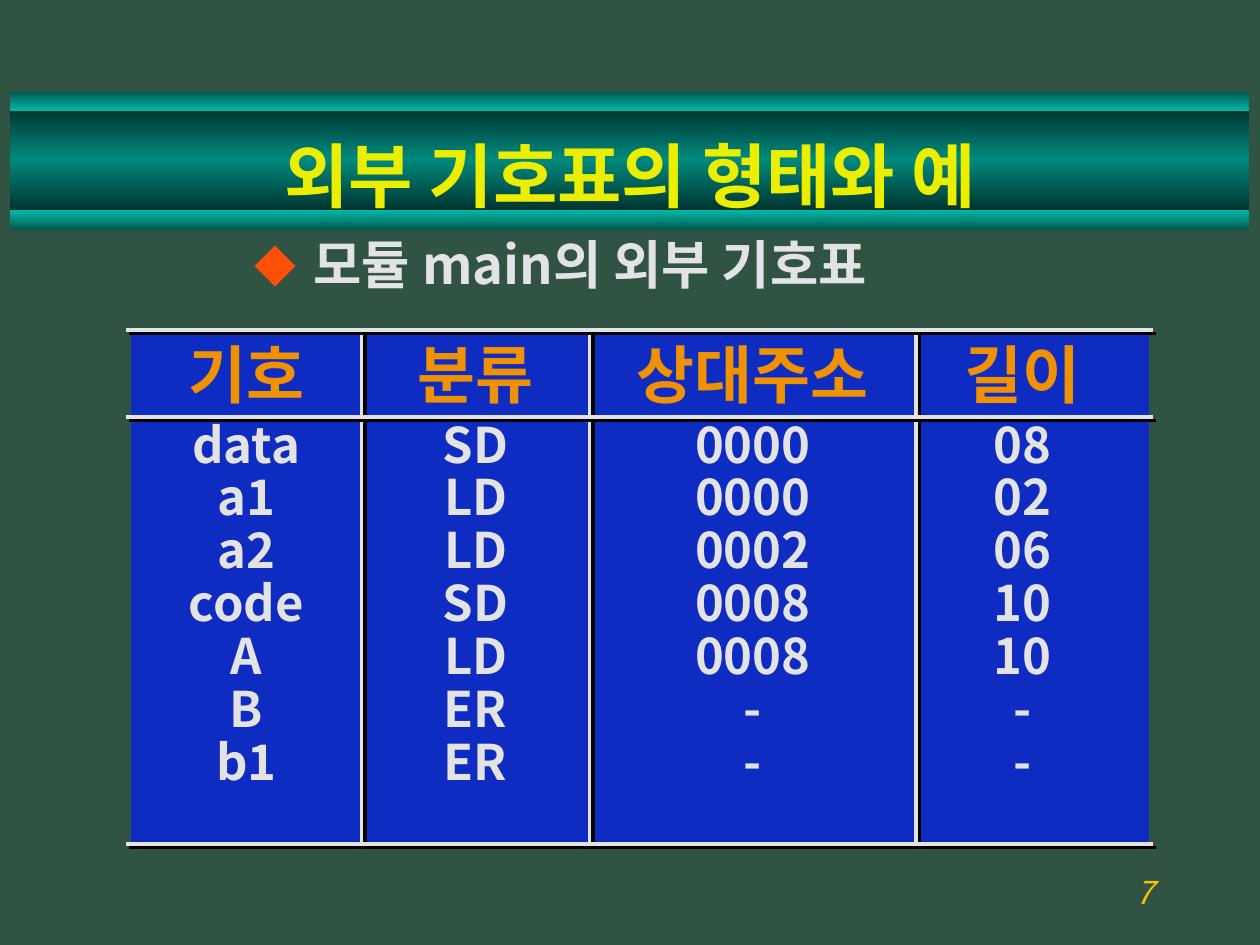
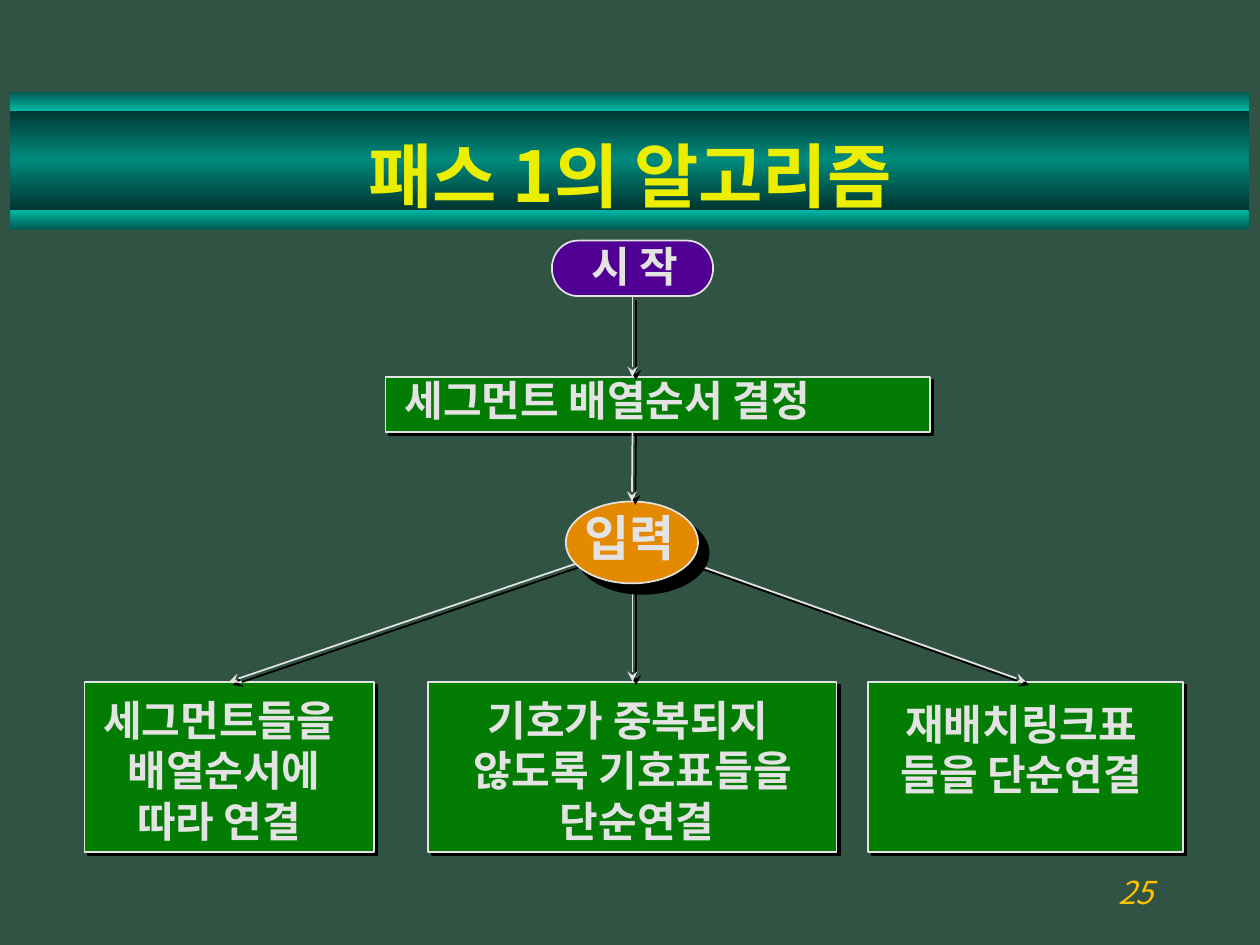
from lxml.etree import SubElement
from pptx import Presentation
from pptx.dml.color import RGBColor
from pptx.enum.shapes import MSO_CONNECTOR, MSO_SHAPE
from pptx.enum.text import MSO_ANCHOR, PP_ALIGN
from pptx.oxml.ns import qn
from pptx.util import Inches, Pt

FONT = "Noto Sans CJK KR"
COLORS = {
    "background": "305343", "title": "ECEE00", "text": "E3E3E3", "page": "FFC000",
    "header": "EF9100", "table": "0E2CC2", "bullet": "FF5008", "shadow": "000000",
    "process": "037C03", "start": "500093", "input": "E48A00",
    "band dark": "00322E", "band mid": "008A7D", "edge dark": "005B52", "edge light": "00B7A5",
}
# top, height, gradient from top to bottom
BANDS = [
    (0.85, 0.83, ("band dark", "band mid", "band dark")),
    (1.67, 0.15, ("edge light", "edge dark")),
    (0.73, 0.15, ("edge dark", "edge light")),
]

SYMBOLS = {
    "title": "외부 기호표의 형태와 예", "page": 7,
    "caption": "모듈 main의 외부 기호표",
    "header": ("기호", "분류", "상대주소", "길이"),
    "rows": [
        ("data", "SD", "0000", "08"),
        ("a1", "LD", "0000", "02"),
        ("a2", "LD", "0002", "06"),
        ("code", "SD", "0008", "10"),
        ("A", "LD", "0008", "10"),
        ("B", "ER", "-", "-"),
        ("b1", "ER", "-", "-"),
    ],
}
COLUMN_EDGES = (1.04, 2.87, 4.68, 7.27, 9.12)
TABLE_TOP, HEADER_BOTTOM, TABLE_BOTTOM = 2.62, 3.31, 6.7
ROW_HEIGHT, FIRST_ROW_GAP = 0.42, 0.06
LAST_COLUMN_INSET = 0.16

ALGORITHM = {
    "title": "패스 1의 알고리즘", "page": 25,
    "start": "시 작", "order": "세그먼트 배열순서 결정", "input": "입력",
    # left, width, (top inset, right inset), lines
    "branches": [
        (0.67, 2.3, (0.1, 0.16), ("세그먼트들을", " 배열순서에", "따라 연결")),
        (3.4, 3.24, (0.1, 0), ("기호가 중복되지 ", "않도록 기호표들을", " 단순연결")),
        (6.89, 2.5, (0.13, 0.07), ("재배치링크표", "들을 단순연결")),
    ],
}
AXIS = 5.02
BRANCH_TOP, BRANCH_HEIGHT = 5.41, 1.35
BRANCH_STARTS = ((4.7, 4.43), (AXIS, 4.63), (5.44, 4.45))


def rgb(name):
    return RGBColor.from_string(COLORS[name])


def add_color(parent, name):
    SubElement(parent, qn("a:srgbClr"), val=COLORS[name])


def add_shadow(effects, distance=2.8):
    shadow = SubElement(effects, qn("a:outerShdw"), dist=str(Pt(distance)),
                        dir="2700000", algn="ctr", rotWithShape="0")
    add_color(shadow, "shadow")


def write(frame, lines, size, color, align=PP_ALIGN.CENTER, spacing=None,
          bold=True, italic=False, shadow=True):
    frame.text = "\n".join(lines)
    for paragraph in frame.paragraphs:
        paragraph.alignment = align
        paragraph.line_spacing = spacing
        for run in paragraph.runs:
            font = run.font
            font.size, font.bold, font.italic = Pt(size), bold, italic
            font.color.rgb = rgb(color)
            font.name = FONT
            properties = font._element
            latin = properties.find(qn("a:latin"))
            east_asian = SubElement(properties, qn("a:ea"), typeface=FONT)
            latin.addnext(east_asian)
            if shadow:
                effects = SubElement(properties, qn("a:effectLst"))
                add_shadow(effects)
                latin.addprevious(effects)


def add_text(slide, box, text, size, color, anchor=MSO_ANCHOR.MIDDLE, **style):
    frame = slide.shapes.add_textbox(*map(Inches, box)).text_frame
    frame.word_wrap = True
    frame.vertical_anchor = anchor
    write(frame, [text], size, color, **style)
    return frame


def add_box(slide, kind, box, fill, shadow=None, outline=True):
    shape = slide.shapes.add_shape(kind, *map(Inches, box))
    shape.shadow.inherit = False
    shape.fill.solid()
    shape.fill.fore_color.rgb = rgb(fill)
    if outline:
        shape.line.color.rgb = rgb("text")
        shape.line.width = Pt(1)
    else:
        shape.line.fill.background()
    if shadow:
        add_shadow(shape._element.spPr.find(qn("a:effectLst")), shadow)
    return shape


def label(shape, lines, size=24, insets=(0, 0, 0, 0), anchor=MSO_ANCHOR.MIDDLE, **style):
    """Write in a shape; insets run left, top, right, bottom."""
    frame = shape.text_frame
    frame.word_wrap = True
    frame.vertical_anchor = anchor
    (frame.margin_left, frame.margin_top,
     frame.margin_right, frame.margin_bottom) = map(Inches, insets)
    write(frame, lines, size, "text", **style)


def add_line(slide, start, end, width, arrow=False):
    line = slide.shapes.add_connector(MSO_CONNECTOR.STRAIGHT, *map(Inches, start + end))
    line.line.color.rgb = rgb("text")
    line.line.width = Pt(width)
    properties = line._element.spPr
    if arrow:
        SubElement(properties.find(qn("a:ln")), qn("a:tailEnd"), type="stealth")
    add_shadow(SubElement(properties, qn("a:effectLst")))
    return line


def add_band(slide, top, height, shades):
    band = add_box(slide, MSO_SHAPE.RECTANGLE, (0.08, top, 9.83, height), shades[0], outline=False)
    band.fill.gradient()
    band.fill.gradient_angle = 270
    stops = band._element.spPr.find(qn("a:gradFill")).find(qn("a:gsLst"))
    for stop in list(stops):
        stops.remove(stop)
    for i, shade in enumerate(shades):
        position = 100000 * i // (len(shades) - 1)
        add_color(SubElement(stops, qn("a:gs"), pos=str(position)), shade)


def start_slide(prs, content):
    slide = prs.slides.add_slide(prs.slide_layouts[6])
    for band in BANDS:
        add_band(slide, *band)
    add_text(slide, (7.17, 6.83, 2.08, 0.5), str(content["page"]), 18, "page",
             align=PP_ALIGN.RIGHT, bold=False, italic=True, shadow=False)
    add_text(slide, (0.75, 0.98, 8.5, 0.81), content["title"], 40, "title")
    return slide


def add_caption(slide, text):
    frame = add_text(slide, (1.92, 1.85, 7.06, 0.46), text, 30, "text",
                     anchor=MSO_ANCHOR.TOP, align=PP_ALIGN.LEFT, spacing=0.9)
    properties = frame.paragraphs[0]._p.get_or_add_pPr()
    indent = Inches(0.47)
    properties.set("marL", str(indent))
    properties.set("indent", str(-indent))
    add_color(SubElement(properties, qn("a:buClr")), "bullet")
    SubElement(properties, qn("a:buSzPct"), val="80000")
    SubElement(properties, qn("a:buFont"), typeface=FONT)
    SubElement(properties, qn("a:buChar"), char="◆")


def add_symbol_table(slide, header, rows):
    records = [header] + rows
    left, right = COLUMN_EDGES[0], COLUMN_EDGES[-1]
    table = slide.shapes.add_table(
        len(records), len(header), Inches(left), Inches(TABLE_TOP),
        Inches(right - left), Inches(TABLE_BOTTOM - TABLE_TOP)).table
    table.first_row = table.horz_banding = False
    style = table._tbl.tblPr.find(qn("a:tableStyleId"))
    style.text = "{2D5ABB26-0587-4C30-8999-92F81FD0307C}"  # no style, no grid

    for column, start, end in zip(table.columns, COLUMN_EDGES, COLUMN_EDGES[1:]):
        column.width = Inches(end - start)
    heights = [HEADER_BOTTOM - TABLE_TOP, ROW_HEIGHT + FIRST_ROW_GAP]
    heights += [ROW_HEIGHT] * (len(rows) - 2)
    heights.append(TABLE_BOTTOM - TABLE_TOP - sum(heights))

    for r, (record, height) in enumerate(zip(records, heights)):
        table.rows[r].height = Inches(height)
        for c, value in enumerate(record):
            cell = table.cell(r, c)
            cell.fill.solid()
            cell.fill.fore_color.rgb = rgb("table")
            cell.margin_left = cell.margin_top = cell.margin_bottom = 0
            cell.margin_right = Inches(LAST_COLUMN_INSET if c == len(record) - 1 else 0)
            if r == 0:
                cell.vertical_anchor = MSO_ANCHOR.MIDDLE
                write(cell.text_frame, [value], 36, "header", spacing=0.9)
            else:
                cell.vertical_anchor = MSO_ANCHOR.BOTTOM if r == 1 else MSO_ANCHOR.TOP
                write(cell.text_frame, [value], 28, "text", spacing=Pt(30))

    for x in COLUMN_EDGES[1:-1]:
        add_line(slide, (x, TABLE_TOP), (x, TABLE_BOTTOM), 2)
    for y in (TABLE_TOP, HEADER_BOTTOM, TABLE_BOTTOM):
        add_line(slide, (left - 0.04, y), (right + 0.03, y), 2)


def add_flowchart(slide, content):
    start = add_box(slide, MSO_SHAPE.FLOWCHART_TERMINATOR, (4.38, 1.91, 1.28, 0.44), "start")
    label(start, [content["start"]], insets=(0.04, 0.04, 0, 0), spacing=0.8)
    order = add_box(slide, MSO_SHAPE.RECTANGLE, (3.06, 2.99, 4.32, 0.44), "process", 2.8)
    label(order, [content["order"]], insets=(0.15, 0, 0, 0), align=PP_ALIGN.LEFT, spacing=0.8)

    for (left, width, (top, right), lines), origin in zip(content["branches"], BRANCH_STARTS):
        branch = add_box(slide, MSO_SHAPE.RECTANGLE,
                         (left, BRANCH_TOP, width, BRANCH_HEIGHT), "process", 2.8)
        label(branch, lines, insets=(0, top, right, 0), anchor=MSO_ANCHOR.TOP)
        arrow = add_line(slide, origin, (left + width / 2, BRANCH_TOP), 1, arrow=True)
        arrow.end_connect(branch, 0)

    choice = add_box(slide, MSO_SHAPE.OVAL, (4.49, 3.98, 1.05, 0.65), "input", 8.5)
    label(choice, [content["input"]], size=28, insets=(0, 0, 0.04, 0), spacing=0.8)
    choice.text_frame.word_wrap = False

    to_order = add_line(slide, (AXIS, 2.35), (AXIS, 2.99), 1, arrow=True)
    to_order.begin_connect(start, 2)
    to_choice = add_line(slide, (AXIS, 3.43), (AXIS, 3.98), 1, arrow=True)
    to_choice.end_connect(choice, 0)


def main():
    prs = Presentation()
    prs.slide_width, prs.slide_height = Inches(10), Inches(7.5)
    background = prs.slide_master.background.fill
    background.solid()
    background.fore_color.rgb = rgb("background")

    symbols = start_slide(prs, SYMBOLS)
    add_caption(symbols, SYMBOLS["caption"])
    add_symbol_table(symbols, SYMBOLS["header"], SYMBOLS["rows"])

    add_flowchart(start_slide(prs, ALGORITHM), ALGORITHM)
    prs.save("out.pptx")


if __name__ == "__main__":
    main()
